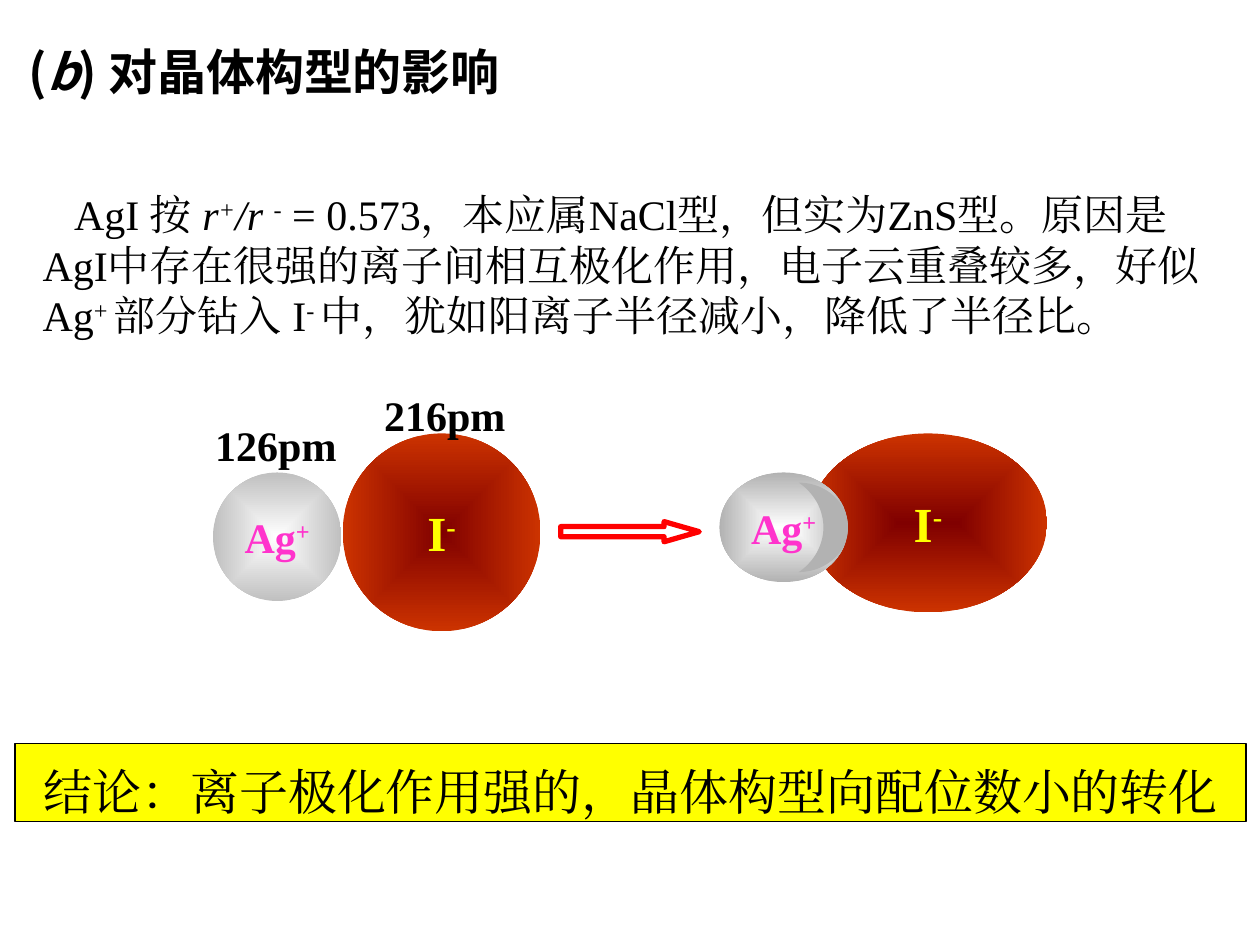
from lxml import etree
from pptx import Presentation
from pptx import util as u
from pptx.dml.color import RGBColor
from pptx.enum import shapes, text
from pptx.oxml.ns import qn

SERIF = "Times New Roman"
SANS = "Noto Sans CJK SC"


def color(value):
    return RGBColor.from_string(value)


def write(frame, parts, size=24, font=SERIF, fill="000000", bold=False,
          align=text.PP_ALIGN.LEFT, anchor=text.MSO_ANCHOR.TOP,
          wrap=True, spacing=None, indent=0):
    frame.word_wrap = wrap
    frame.vertical_anchor = anchor
    paragraph = frame.paragraphs[0]
    paragraph.alignment = align
    if spacing:
        paragraph.line_spacing = spacing
    if indent:
        paragraph._p.get_or_add_pPr().set("indent", str(u.Inches(indent)))
    for content, style in parts:
        run = paragraph.add_run()
        run.text = content
        run.font.size = u.Pt(size)
        run.font.name = font
        run.font.bold = bold
        run.font.italic = "i" in style
        run.font.color.rgb = color(fill)
        properties = run._r.get_or_add_rPr()
        if "^" in style:
            properties.set("baseline", "30000")
        etree.SubElement(properties, qn("a:ea")).set("typeface", font)


class Diagram:
    """Draws styled elements on the current slide."""

    def __init__(self, slide):
        self.slide = slide

    def label(self, box, parts, **style):
        shape = self.slide.shapes.add_textbox(*map(u.Inches, box))
        write(shape.text_frame, parts, **style)

    def shape(self, kind, box, fill=None, line=None, width=0.75):
        shape = self.slide.shapes.add_shape(kind, *map(u.Inches, box))
        shape.shadow.inherit = False
        if fill:
            shape.fill.solid()
            shape.fill.fore_color.rgb = color(fill)
        else:
            shape.fill.background()
        if line:
            shape.line.color.rgb = color(line)
            shape.line.width = u.Pt(width)
        else:
            shape.line.fill.background()
        return shape

    def ion(self, box, symbol, charge, inner, outer, **style):
        ellipse = self.shape(shapes.MSO_SHAPE.OVAL, box)
        ellipse.fill.gradient()
        for stop, value in zip(ellipse.fill.gradient_stops, (inner, outer)):
            stop.color.rgb = color(value)
        gradient = ellipse._element.spPr.find(qn("a:gradFill"))
        gradient.remove(gradient.find(qn("a:lin")))
        path = etree.SubElement(gradient, qn("a:path"), {"path": "shape"})
        etree.SubElement(path, qn("a:fillToRect"), dict.fromkeys("ltrb", "50000"))
        write(ellipse.text_frame, [(symbol, ""), (charge, "^")], bold=True,
              align=text.PP_ALIGN.CENTER, anchor=text.MSO_ANCHOR.MIDDLE,
              wrap=False, **style)

    def silver(self, box, outer):
        self.ion(box, "Ag", "+", "FFFFFF", outer, fill="FF33CC")

    def iodide(self, box):
        self.ion(box, "I", "-", "800000", "CC3300", size=28, fill="FFFF00")


def main():
    presentation = Presentation()
    presentation.slide_width = u.Inches(10)
    presentation.slide_height = u.Inches(7.5)
    slide = presentation.slides.add_slide(presentation.slide_layouts[6])
    diagram = Diagram(slide)

    diagram.label((0.13, 0.18, 5.07, 0.76),
                  [("(", ""), ("b", "i"), (") 对晶体构型的影响", "")],
                  size=28, font=SANS, bold=True, anchor=text.MSO_ANCHOR.MIDDLE)
    diagram.label((0.24, 1.45, 9.53, 1.31), [
        ("AgI 按 ", ""), ("r", "i"), ("+", "i^"), ("/r ", "i"), ("-", "i^"),
        (" = 0.573，本应属NaCl型，但实为ZnS型。原因是AgI中存在很强的离子间"
         "相互极化作用，电子云重叠较多，好似 Ag", ""),
        ("+ ", "^"), ("部分钻入 I", ""), ("- ", "^"),
        ("中，犹如阳离子半径减小，降低了半径比。", "")], indent=0.25)

    conclusion = diagram.shape(shapes.MSO_SHAPE.RECTANGLE,
                               (0.12, 5.9, 9.77, 0.62), "FFFF00", "000000")
    write(conclusion.text_frame,
          [("结论：离子极化作用强的，晶体构型向配位数小的转化", "")],
          size=28, align=text.PP_ALIGN.CENTER, spacing=1.2)

    diagram.shape(shapes.MSO_SHAPE.RECTANGLE, (1.53, 3.04, 6.93, 2.05), "FFFFFF")
    diagram.iodide((6.42, 3.44, 1.89, 1.42))
    diagram.silver((5.71, 3.75, 1.02, 0.87), "B2B2B2")
    overlap = diagram.shape(shapes.MSO_SHAPE.MOON, (6.34, 3.83, 0.39, 0.71), "B2B2B2")
    overlap.rotation = 180
    diagram.iodide((2.72, 3.44, 1.57, 1.57))
    diagram.silver((1.69, 3.75, 1.02, 1.02), "C0C0C0")

    for left, top, radius in ((1.61, 3.28, "126pm"), (2.95, 3.04, "216pm")):
        diagram.label((left, top, 1.16, 0.5), [(radius, "")], bold=True, wrap=False)

    arrow = diagram.shape(shapes.MSO_SHAPE.RIGHT_ARROW, (4.45, 4.14, 1.1, 0.16),
                          line="FF0000", width=3)
    arrow.adjustments[1] = 1.745

    presentation.save("out.pptx")


if __name__ == "__main__":
    main()
